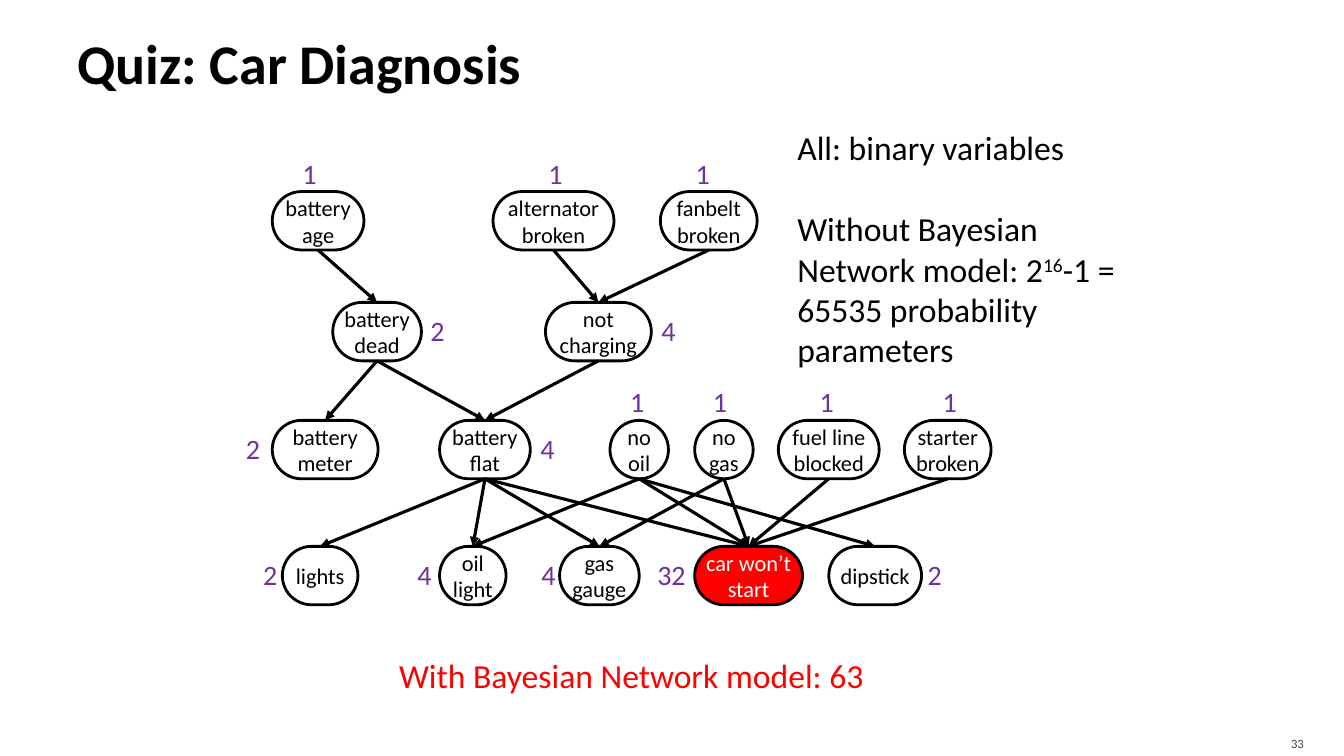
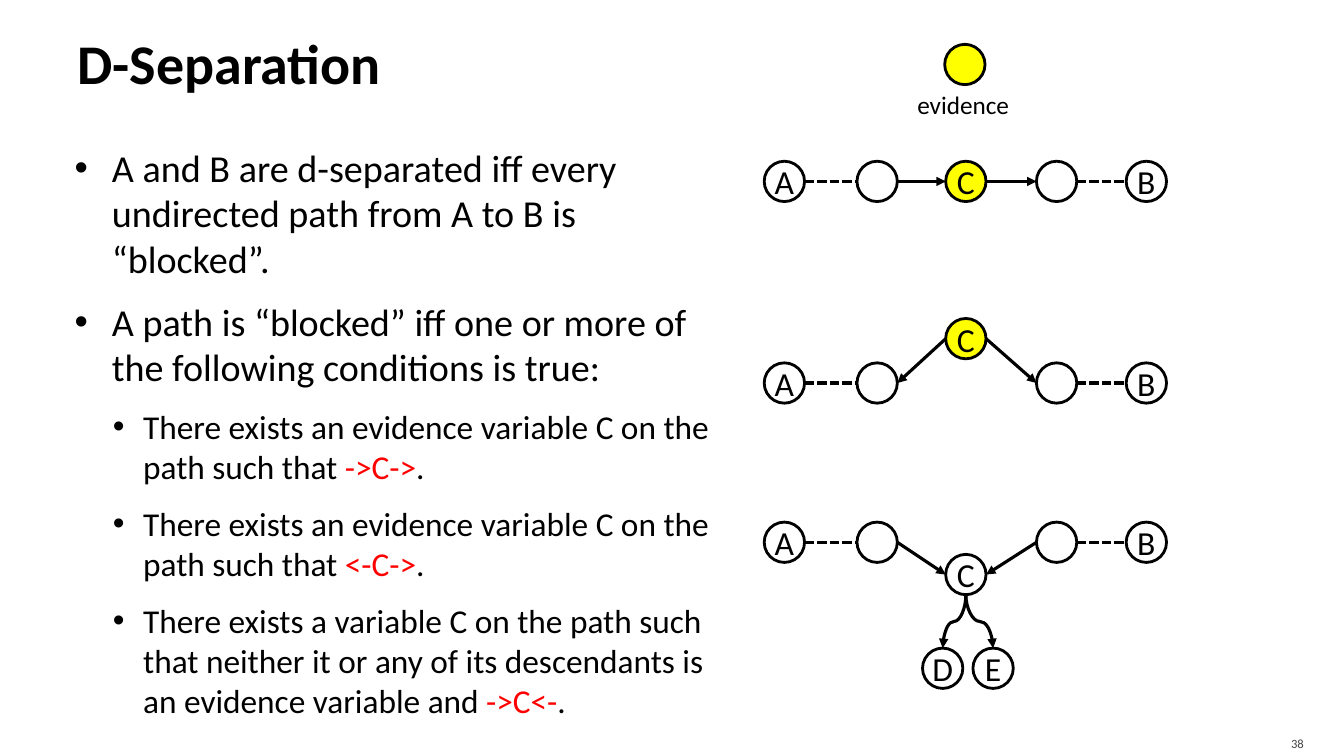
from lxml.etree import SubElement as Sub
from pptx import Presentation
from pptx.dml.color import RGBColor
from pptx.enum.dml import MSO_LINE as Dash
from pptx.enum.shapes import MSO_CONNECTOR as Link, MSO_SHAPE as Shape
from pptx.enum.text import MSO_ANCHOR as Anchor, PP_ALIGN as Align
from pptx.oxml.ns import qn
from pptx.util import Inches, Pt

BLACK, WHITE, RED = "000000", "FFFFFF", "FF0000"
YELLOW, PURPLE, GREY = "FFFF00", "7030A0", "454545"
FONT = "Calibri"
DOT = 0.4


def rgb(code):
    return RGBColor.from_string(code)


class Deck:
    def __init__(self):
        self.prs = Presentation()
        self.prs.slide_width = Inches(13.33)
        self.prs.slide_height = Inches(7.5)

    def page(self, title, num):
        """Start a slide with its title and page number."""
        self.slide = self.prs.slides.add_slide(self.prs.slide_layouts[6])
        head = self.text(0.67, 0.08, 12, 1.08, title, 40, anchor=Anchor.MIDDLE)
        head.paragraphs[0].runs[0].font.bold = True
        self.text(11.96, 7.2, 1.07, 0.3, num, 9, GREY, Align.RIGHT, Anchor.MIDDLE,
                  pad=(0.1, 0.05, 0.1, 0))

    def runs(self, para, parts, size, color=BLACK):
        """Put each part in the paragraph as a run of its own."""
        for part in parts:
            run = para.add_run()
            run.text = part
            font = run.font
            font.name, font.size, font.color.rgb = FONT, Pt(size), rgb(color)

    def text(self, x, y, w, h, words, size, color=BLACK, align=Align.LEFT,
             anchor=Anchor.TOP, pad=(0.1, 0.05, 0.1, 0.05), wrap=True):
        box = self.slide.shapes.add_textbox(Inches(x), Inches(y), Inches(w), Inches(h))
        frame = box.text_frame
        self.frame(frame, pad, anchor, wrap)
        frame.paragraphs[0].alignment = align
        self.runs(frame.paragraphs[0], [words] if words else [], size, color)
        return frame

    def frame(self, frame, pad, anchor, wrap=True):
        frame.word_wrap, frame.vertical_anchor = wrap, anchor
        (frame.margin_left, frame.margin_top,
         frame.margin_right, frame.margin_bottom) = map(Inches, pad)

    def node(self, kind, x, y, w, h, words="", size=16, fill=None, color=BLACK):
        node = self.slide.shapes.add_shape(kind, Inches(x), Inches(y), Inches(w), Inches(h))
        node.shadow.inherit = False
        if fill:
            node.fill.solid()
            node.fill.fore_color.rgb = rgb(fill)
        else:
            node.fill.background()
        node.line.color.rgb, node.line.width = rgb(BLACK), Pt(2)
        if words:
            self.frame(node.text_frame, (0, 0, 0, 0), Anchor.MIDDLE)
            node.text_frame.paragraphs[0].alignment = Align.CENTER
            self.runs(node.text_frame.paragraphs[0], [words], size, color)
        return node

    def dot(self, x, y, words="", fill=None):
        return self.node(Shape.OVAL, x, y, DOT, DOT, words, 24, fill)

    def line(self, start, end, arrow=True, kind=Link.STRAIGHT):
        line = self.slide.shapes.add_connector(kind, *map(Inches, (*start, *end)))
        line.line.color.rgb, line.line.width = rgb(BLACK), Pt(2.25)
        if arrow:
            Sub(line.line._get_or_add_ln(), qn("a:tailEnd"), type="triangle")
        else:
            line.line.dash_style = Dash.SQUARE_DOT
        Sub(line.element.spPr, qn("a:effectLst"))
        return line

    def curve(self, start, end):
        """Draw an S-shaped arrow that leaves and arrives vertically."""
        (x1, y1), (x2, y2) = start, end
        midx, midy = (x1 + x2) / 2, (y1 + y2) / 2
        halfw, halfh = (y2 - y1) / 2, abs(x2 - x1) / 2
        turn = 90
        if x2 > x1:
            halfw, turn = -halfw, 270
        line = self.line((midx - halfw, midy - halfh), (midx + halfw, midy + halfh),
                         kind=Link.CURVE)
        line.element.spPr.find(qn("a:xfrm")).set("rot", str(turn * 60000))

    def join(self, top, low):
        line = self.line((0, 0), (1, 1))
        line.begin_connect(top, 2)
        line.end_connect(low, 0)

    def bullet(self, para, left, hang):
        props = para._p.get_or_add_pPr()
        props.set("marL", str(Inches(left)))
        props.set("indent", str(-Inches(hang)))
        Sub(Sub(props, qn("a:buClr")), qn("a:srgbClr"), val=BLACK)
        Sub(props, qn("a:buFont"), typeface="Arial")
        Sub(props, qn("a:buChar"), char="•")


# Row top: (name, left, width, parameter count, centre of the count)
ROWS = {
    1.9: [("battery age", 2.7, 0.91, 1, 3.07),
          ("alternator broken", 4.89, 1.2, 1, 5.51),
          ("fanbelt broken", 6.55, 0.96, 1, 6.97)],
    3: [("battery dead", 3.3, 0.88, 2, 4.34),
        ("not charging", 5.41, 1.05, 4, 6.63)],
    4.17: [("battery meter", 2.7, 1.05, 2, 2.51),
           ("battery flat", 4.36, 0.9, 4, 5.43),
           ("no oil", 6.05, 0.58, 1, 6.32),
           ("no gas", 6.89, 0.58, 1, 7.14),
           ("fuel line blocked", 7.72, 1, 1, 8.2),
           ("starter broken", 8.97, 0.86, 1, 9.42)],
    5.42: [("lights", 2.8, 0.75, 2, 2.68),
           ("oil light", 4.36, 0.66, 4, 4.21),
           ("gas gauge", 5.55, 0.79, 4, 5.44),
           ("car won’t start", 6.89, 1.07, 32, 6.66),
           ("dipstick", 8.22, 0.92, 2, 9.27)],
}
CAUSES = {
    "battery age": ["battery dead"],
    "alternator broken": ["not charging"],
    "fanbelt broken": ["not charging"],
    "battery dead": ["battery meter", "battery flat"],
    "not charging": ["battery flat"],
    "battery flat": ["lights", "oil light", "gas gauge", "car won’t start"],
    "no oil": ["oil light", "car won’t start", "dipstick"],
    "no gas": ["gas gauge", "car won’t start"],
    "fuel line blocked": ["car won’t start"],
    "starter broken": ["car won’t start"],
}


def quiz(deck):
    deck.page("Quiz: Car Diagnosis", "33")
    nodes = {}
    for top, row in ROWS.items():
        for name, x, w, count, mid in row:
            look = {"fill": RED, "color": WHITE} if count == 32 else {}
            node = deck.node(Shape.ROUNDED_RECTANGLE, x, top, w, 0.58, name, **look)
            node.adjustments[0] = 0.5
            nodes[name] = node
            above = x < mid < x + w
            wide = 0.19 + 0.15 * len(str(count))
            deck.text(mid - wide / 2, top + (-0.4 if above else 0.06), wide, 0.44,
                      str(count), 20, PURPLE, Align.CENTER, wrap=False)
    for cause, effects in CAUSES.items():
        for effect in effects:
            deck.join(nodes[cause], nodes[effect])

    note = deck.text(7.81, 1.21, 3.57, 2.52, "All: binary variables", 24)
    para = note.add_paragraph()
    para.space_before = Pt(29.3)
    deck.runs(para, ("Without Bayesian Network model: 2", "16",
                     "-1 = 65535 probability parameters"), 24)
    para.runs[1]._r.get_or_add_rPr().set("baseline", "30000")
    deck.text(3.86, 6.45, 5.09, 0.5, "With Bayesian Network model: 63", 24, RED,
              wrap=False)


POINTS = [
    (0, "A and B are d-separated iff every undirected path from A to B is “blocked”."),
    (0, "A path is “blocked” iff one or more of the following conditions is true:"),
    (1, "There exists an evidence variable C on the path such that ", "->C->", "."),
    (1, "There exists an evidence variable C on the path such that ", "<-C->", "."),
    (1, "There exists a variable C on the path such that neither it or any of its "
        "descendants is an evidence variable and ", "->C<-", "."),
]
LEVELS = [(27.2, 0.38, 0.37), (23.8, 0.69, 0.3)]
COLS = [7.58, 8.5, 9.38, 10.28, 11.17]
# Row top, top of C, fill of C, left arrow enters C, right arrow leaves C
PATHS = [(1.6, 1.6, YELLOW, True, True),
         (3.6, 3.16, YELLOW, False, True),
         (5.18, 5.5, None, True, False)]


def chain(deck, top, ctop, fill, enter, leave):
    """Draw one path from A to B through C."""
    tops = [top, top, ctop, top, top]
    for x, y, name in zip(COLS, tops, ("A", "", "C", "", "B")):
        deck.dot(x, y, name, fill if name == "C" else None)
    for i, ahead in enumerate((True, enter, leave, True)):
        ends = [(COLS[i] + DOT, tops[i] + DOT / 2), (COLS[i + 1], tops[i + 1] + DOT / 2)]
        deck.line(*(ends if ahead else ends[::-1]), arrow=i in (1, 2))


def separate(deck):
    deck.page("D-Separation", "38")
    body = deck.text(0.67, 1.33, 6.51, 5.83, "", 27.2, pad=(0.06, 0.1, 0.1, 0.05))
    for i, (level, *parts) in enumerate(POINTS):
        para = body.add_paragraph() if i else body.paragraphs[0]
        size, left, hang = LEVELS[level]
        deck.bullet(para, left, hang)
        para.space_before, para.space_after = Pt(6 if i else 0), Pt(6)
        deck.runs(para, parts, size)
        if level:
            para.runs[1].font.color.rgb = rgb(RED)

    for row in PATHS:
        chain(deck, *row)
    for name, x in (("D", 9.15), ("E", 9.65)):
        deck.dot(x, 6.43, name)
        deck.curve((COLS[2] + DOT / 2, 5.5 + DOT), (x + DOT / 2, 6.43))
    deck.dot(9.37, 0.44, fill=YELLOW)
    deck.text(9, 0.84, 1.16, 0.4, "evidence", 18, wrap=False)


def main():
    deck = Deck()
    quiz(deck)
    separate(deck)
    deck.prs.save("out.pptx")


if __name__ == "__main__":
    main()
